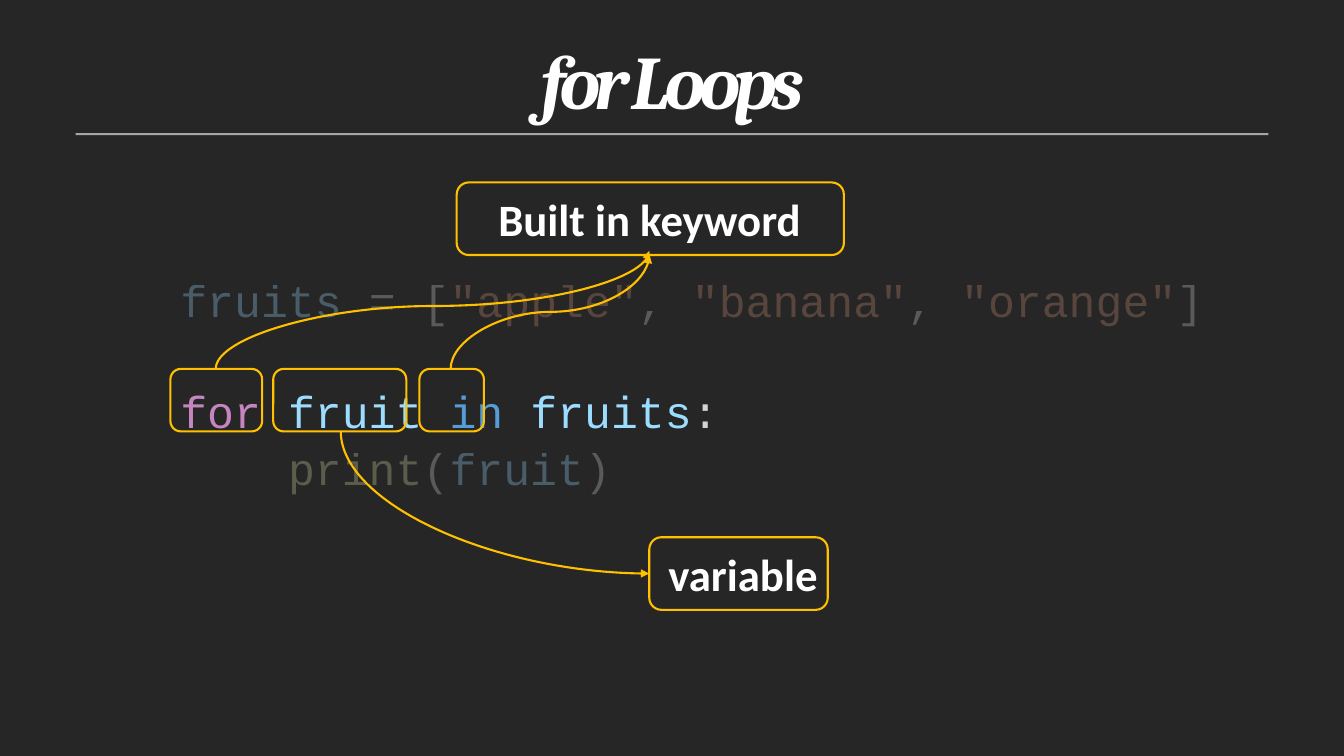
from lxml import etree
from pptx import Presentation
from pptx import util as u
from pptx.dml.color import RGBColor
from pptx.enum import shapes, text
from pptx.oxml.ns import qn

COLORS = {
    "background": "262626", "rule": "A6A6A6", "white": "FFFFFF", "accent": "FFC000",
    "name": "9CDCFE", "plain": "D4D4D4", "string": "CE9178",
    "loop": "C586C0", "operator": "569CD6", "function": "DCDCAA",
}
FADED = "30000"  # opacity of the code that is not being explained

TITLE = {"name": "Cambria", "size": u.Pt(54), "bold": True, "italic": True}
LABEL = {"name": "Calibri", "size": u.Pt(32), "bold": True}
CODE = {"name": "Courier New", "size": u.Pt(32)}


def color(name):
    return RGBColor.from_string(COLORS[name])


class SlideBuilder:
    """Holds the current slide and draws its elements in one style."""

    def __init__(self, slide):
        self.slide = slide
        fill = slide.background.fill
        fill.solid()
        fill.fore_color.rgb = color("background")

    def rule(self, left, top, width, height):
        shape = self.slide.shapes.add_shape(
            shapes.MSO_SHAPE.RECTANGLE, *map(u.Inches, (left, top, width, height)))
        shape.shadow.inherit = False
        shape.fill.solid()
        shape.fill.fore_color.rgb = color("rule")
        shape.line.fill.background()

    def frame(self, left, top, width, height):
        shape = self.slide.shapes.add_shape(
            shapes.MSO_SHAPE.ROUNDED_RECTANGLE, *map(u.Inches, (left, top, width, height)))
        shape.shadow.inherit = False
        shape.fill.background()
        self.outline(shape)

    def outline(self, shape):
        shape.line.color.rgb = color("accent")
        shape.line.width = u.Pt(1.5)

    def text_box(self, left, top, width, height, wrap=True):
        shape = self.slide.shapes.add_textbox(*map(u.Inches, (left, top, width, height)))
        shape.text_frame.word_wrap = wrap
        return shape.text_frame

    def run(self, paragraph, words, style, color_name, faded=False):
        run = paragraph.add_run()
        run.text = words
        for key, value in style.items():
            setattr(run.font, key, value)
        run.font.color.rgb = color(color_name)
        if faded:
            fill = run.font._element.find(qn("a:solidFill"))
            etree.SubElement(fill[0], qn("a:alpha"), val=FADED)
        return run

    def title(self, words, *box):
        paragraph = self.text_box(*box).paragraphs[0]
        paragraph.alignment = text.PP_ALIGN.CENTER
        paragraph.line_spacing = u.Pt(80.7)
        run = self.run(paragraph, words, TITLE, "white")
        run.font._element.set("spc", "-480")

    def label(self, words, *box):
        paragraph = self.text_box(*box, wrap=False).paragraphs[0]
        paragraph.alignment = text.PP_ALIGN.CENTER
        self.run(paragraph, words, LABEL, "white")

    def code(self, lines, *box):
        frame = self.text_box(*box)
        for index, (space_before, faded, tokens) in enumerate(lines):
            paragraph = frame.paragraphs[0] if index == 0 else frame.add_paragraph()
            paragraph.line_spacing = 1.07
            paragraph.space_before = u.Pt(space_before)
            for words, color_name in tokens:
                self.run(paragraph, words, CODE, color_name, faded)

    def curve(self, start, end, preset, rotation, flips, adjust=None):
        """Curved arrow that leaves vertically, so its frame is a quarter turn."""
        (x1, y1), (x2, y2) = start, end
        width, height = abs(y2 - y1), abs(x2 - x1)
        left, top = (x1 + x2 - width) / 2, (y1 + y2 - height) / 2
        connector = self.slide.shapes.add_connector(
            shapes.MSO_CONNECTOR.CURVE,
            *map(u.Inches, (left, top, left + width, top + height)))
        self.outline(connector)
        properties = connector._element.spPr
        transform = properties.find(qn("a:xfrm"))
        transform.set("rot", str(rotation * 60000))
        for flip in flips:
            transform.set(flip, "1")
        geometry = properties.find(qn("a:prstGeom"))
        geometry.set("prst", preset)
        if adjust is not None:
            guides = geometry.find(qn("a:avLst"))
            etree.SubElement(guides, qn("a:gd"), name="adj1", fmla=f"val {adjust}")
        etree.SubElement(properties.find(qn("a:ln")), qn("a:tailEnd"), type="triangle")
        etree.SubElement(properties, qn("a:effectLst"))


def main():
    presentation = Presentation()
    presentation.slide_width = u.Inches(13.33)
    presentation.slide_height = u.Inches(7.5)
    builder = SlideBuilder(presentation.slides.add_slide(presentation.slide_layouts[6]))

    # Heading
    builder.rule(0.75, 1.32, 11.83, 0.02)
    builder.title("for Loops", 1.13, 0.07, 11.08, 1.13)

    # Code: space before, faded, tokens
    builder.code([
        (0, True, [("fruits", "name"), (" = [", "plain"), ('"apple"', "string"),
                   (", ", "plain"), ('"banana"', "string"), (", ", "plain"),
                   ('"orange"', "string"), ("]", "plain")]),
        (38, False, [("for ", "loop"), ("fruit ", "name"), ("in ", "operator"),
                     ("fruits", "name"), (":", "plain")]),
        (0, True, [("    ", "plain"), ("print", "function"), ("(", "plain"),
                   ("fruit", "name"), (")", "plain")]),
    ], 1.69, 2.62, 10.52, 2.26)

    # Frames around the explained words
    word_top, word_height = 3.66, 0.62
    for left, width in ((1.69, 0.91), (2.71, 1.32), (4.16, 0.64)):
        builder.frame(left, word_top, width, word_height)

    # Explanations
    builder.frame(4.53, 1.81, 3.84, 0.72)
    builder.label("Built in keyword", 4.83, 1.85, 3.23, 0.64)
    builder.frame(6.44, 5.33, 1.77, 0.72)
    builder.label("variable", 6.52, 5.37, 1.7, 0.64)

    # Arrows from the words to their explanations
    both = ("flipH", "flipV")
    builder.curve((4.47, word_top), (6.44, 2.53), "curvedConnector3", 90, both, 50000)
    builder.curve((2.14, word_top), (6.44, 2.49), "curvedConnector3", 90, both, 53300)
    builder.curve((3.38, word_top + word_height), (6.44, 5.69),
                  "curvedConnector2", 270, ("flipH",))

    presentation.save("out.pptx")


if __name__ == "__main__":
    main()
